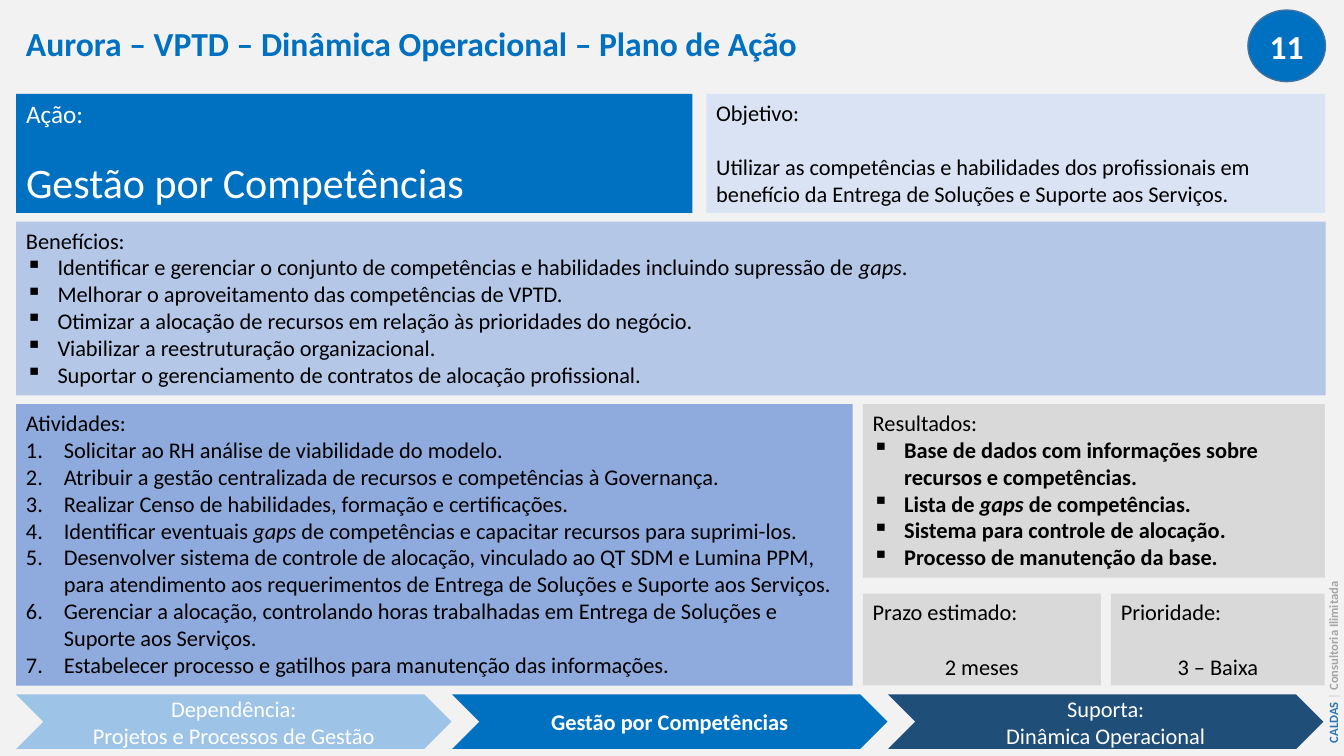
from lxml.etree import SubElement
from pptx import Presentation
from pptx.dml.color import RGBColor
from pptx.enum.shapes import MSO_SHAPE
from pptx.enum.text import MSO_ANCHOR, PP_ALIGN
from pptx.oxml.ns import qn
from pptx.util import Pt

COLORS = {
    "background": "F2F2F2", "blue": "0070C0", "outline": "43739E",
    "pale": "DAE3F3", "light": "B4C7E7", "medium": "8FAADC",
    "gray": "D9D9D9", "sky": "9DC3E6", "navy": "1F4E79",
    "white": "FFFFFF", "black": "000000", "brand": "2E75B6", "credit": "A6A6A6",
}

TITLE = "Aurora – VPTD – Dinâmica Operacional – Plano de Ação"
NUMBER = "11"
SIGNATURE = [("CALDAS ", "brand"), ("| ", "gray"), ("Consultoria Ilimitada", "credit")]

ACTION = {"fill": "blue", "color": "white", "heading": "Ação:", "heading_size": 18,
          "body": ["Gestão por Competências"], "size": 30}
GOAL = {"fill": "pale", "heading": "Objetivo:", "body": [
    "Utilizar as competências e habilidades dos profissionais em benefício da "
    "Entrega de Soluções e Suporte aos Serviços."]}
BENEFITS = {"fill": "light", "heading": "Benefícios:", "bullet": "square", "body": [
    "Identificar e gerenciar o conjunto de competências e habilidades incluindo supressão de *gaps*.",
    "Melhorar o aproveitamento das competências de VPTD.",
    "Otimizar a alocação de recursos em relação às prioridades do negócio.",
    "Viabilizar a reestruturação organizacional.",
    "Suportar o gerenciamento de contratos de alocação profissional."]}
ACTIVITIES = {"fill": "medium", "heading": "Atividades:", "bullet": "number", "body": [
    "Solicitar ao RH análise de viabilidade do modelo.",
    "Atribuir a gestão centralizada de recursos e competências à Governança.",
    "Realizar Censo de habilidades, formação e certificações.",
    "Identificar eventuais *gaps* de competências e capacitar recursos para suprimi-los.",
    "Desenvolver sistema de controle de alocação, vinculado ao QT SDM e Lumina PPM, "
    "para atendimento aos requerimentos de Entrega de Soluções e Suporte aos Serviços.",
    "Gerenciar a alocação, controlando horas trabalhadas em Entrega de Soluções e "
    "Suporte aos Serviços.",
    "Estabelecer processo e gatilhos para manutenção das informações."]}
RESULTS = {"fill": "gray", "heading": "Resultados:", "bullet": "square", "bold": True, "body": [
    "Base de dados com informações sobre recursos e competências.",
    "Lista de *gaps* de competências.",
    "Sistema para controle de alocação.",
    "Processo de manutenção da base."]}
DEADLINE = {"fill": "gray", "heading": "Prazo estimado:", "body": ["2 meses"], "centered": True}
PRIORITY = {"fill": "gray", "heading": "Prioridade:", "body": ["3 – Baixa"], "centered": True}

STEPS = [
    ("sky", False, ["Dependência:", "Projetos e Processos de Gestão"]),
    ("blue", True, ["Gestão por Competências"]),
    ("navy", False, ["Suporta:", "Dinâmica Operacional"]),
]

LEFT, RIGHT_COLUMN = 11.5, 616.3
ROWS = [
    (LEFT, 67, 85, 10, [(ACTION, 483), (GOAL, 442)]),
    (LEFT, 158.4, 124, 0, [(BENEFITS, 935.5)]),
    (LEFT, 288.7, 201, 0, [(ACTIVITIES, 597.6)]),
    (RIGHT_COLUMN, 288.7, 124, 0, [(RESULTS, 330)]),
    (RIGHT_COLUMN, 424, 65.5, 7.2, [(DEADLINE, 170), (PRIORITY, 152.8)]),
]
STEP_TOP, STEP_WIDTH, STEP_HEIGHT, STEP_PITCH = 496, 311, 39, 311.4
BLANK_LINE = 19.5
BULLETS = {
    "square": (22.5, "a:buChar", {"char": "▪"}),
    "number": (27, "a:buAutoNum", {"type": "arabicPeriod"}),
}


def rgb(name):
    return RGBColor.from_string(COLORS[name])


def add_run(paragraph, text, color, **formats):
    run = paragraph.add_run()
    run.text = text
    run.font.color.rgb = rgb(color)
    for name, value in {"name": "Calibri", "size": Pt(16), **formats}.items():
        setattr(run.font, name, value)


def add_paragraph(frame, **formats):
    first = frame.paragraphs[0]
    paragraph = frame.add_paragraph() if first.runs else first
    for name, value in {"alignment": PP_ALIGN.LEFT, **formats}.items():
        setattr(paragraph, name, value)
    return paragraph


def add_bullet(paragraph, kind):
    indent, tag, attributes = BULLETS[kind]
    properties = paragraph._p.get_or_add_pPr()
    properties.set("marL", str(Pt(indent)))
    properties.set("indent", str(-Pt(indent)))
    SubElement(properties, qn(tag), attributes)


def add_block(slide, kind, box, fill, anchor=MSO_ANCHOR.TOP):
    shape = slide.shapes.add_shape(kind, *map(Pt, box))
    shape.shadow.inherit = False
    shape.fill.solid()
    shape.fill.fore_color.rgb = rgb(fill)
    shape.line.fill.background()
    shape.text_frame.word_wrap = True
    shape.text_frame.vertical_anchor = anchor
    return shape


def add_card(slide, box, card):
    frame = add_block(slide, MSO_SHAPE.RECTANGLE, box, card["fill"]).text_frame
    color = card.get("color", "black")
    add_run(add_paragraph(frame), card["heading"], color, size=Pt(card.get("heading_size", 16)))
    for text in card["body"]:
        paragraph = add_paragraph(frame)
        if "bullet" in card:
            add_bullet(paragraph, card["bullet"])
        else:
            paragraph.space_before = Pt(BLANK_LINE)
        if card.get("centered"):
            paragraph.alignment = PP_ALIGN.CENTER
        for index, part in enumerate(text.split("*")):
            add_run(paragraph, part, color, size=Pt(card.get("size", 16)),
                    bold=card.get("bold", False), italic=index % 2 == 1)


def add_text_box(slide, box, **formats):
    shape = slide.shapes.add_textbox(*map(Pt, box))
    for name, value in {"word_wrap": True, **formats}.items():
        setattr(shape.text_frame, name, value)
    return shape


def main():
    presentation = Presentation()
    presentation.slide_width, presentation.slide_height = Pt(960), Pt(540)
    slide = presentation.slides.add_slide(presentation.slide_layouts[6])
    slide.background.fill.solid()
    slide.background.fill.fore_color.rgb = rgb("background")

    title = add_text_box(slide, (LEFT, -1.5, 787, 67.7), vertical_anchor=MSO_ANCHOR.MIDDLE)
    add_run(add_paragraph(title.text_frame, line_spacing=0.9), TITLE, "blue",
            size=Pt(24), bold=True)

    badge = add_block(slide, MSO_SHAPE.FLOWCHART_CONNECTOR, (891.4, 7.2, 55.4, 51.1),
                      "blue", MSO_ANCHOR.MIDDLE)
    badge.line.color.rgb = rgb("outline")
    badge.line.width = Pt(1)
    add_run(add_paragraph(badge.text_frame, alignment=PP_ALIGN.CENTER), NUMBER, "white",
            size=Pt(24), bold=True)

    for left, top, height, gap, cards in ROWS:
        for card, width in cards:
            add_card(slide, (left, top, width, height), card)
            left += width + gap

    for index, (fill, bold, lines) in enumerate(STEPS):
        box = (LEFT + index * STEP_PITCH, STEP_TOP, STEP_WIDTH, STEP_HEIGHT)
        chevron = add_block(slide, MSO_SHAPE.CHEVRON, box, fill, MSO_ANCHOR.MIDDLE)
        for line in lines:
            paragraph = add_paragraph(chevron.text_frame, alignment=PP_ALIGN.CENTER)
            add_run(paragraph, line, "white", bold=bold)

    signature = add_text_box(slide, (882.7, 459.4, 139, 18))
    signature.rotation = 270
    paragraph = add_paragraph(signature.text_frame)
    for text, color in SIGNATURE:
        add_run(paragraph, text, color, size=Pt(9), bold=True)

    presentation.save("out.pptx")


if __name__ == "__main__":
    main()
